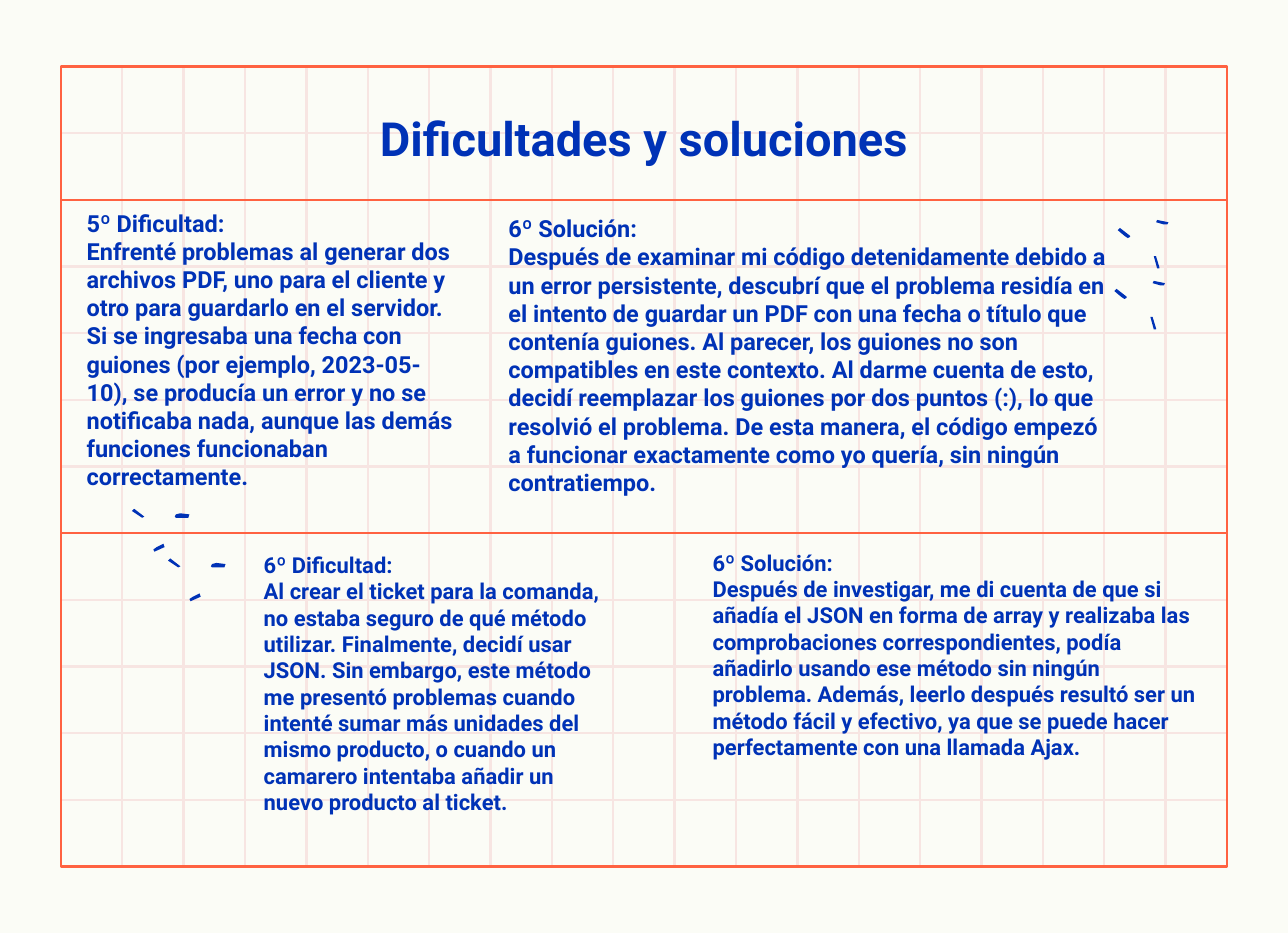
import pptx
import pptx.dml.color
import pptx.enum.shapes
import pptx.enum.text
import pptx.oxml.ns
import pptx.util
from lxml import etree
from pptx.util import Inches

COLORS = {"paper": "FBFCF6", "grid": "F7E5E2", "frame": "FF6241", "ink": "0032B6"}
FONT = "Roboto"

# Grid frame: left, top, width, height, and its division
LEFT, TOP, WIDTH, HEIGHT = 0.54, 0.59, 10.34, 7.09
COLUMNS, ROWS = 19, 12
DIVIDER_ROWS = (2, 7)

# Ink dashes: outlines of one cluster, and the offsets of its two positions
RIGHT_DASHES = (
    [(10.26, 1.95), (10.25, 1.97), (10.32, 1.99), (10.35, 1.99), (10.36, 1.97)],
    [(9.91, 2.04), (9.97, 2.09), (10, 2.11), (10.02, 2.1), (10.02, 2.09), (9.93, 2.02)],
    [(10.23, 2.27), (10.26, 2.38), (10.28, 2.38), (10.28, 2.37), (10.25, 2.27)],
)
LEFT_DASHES = (
    [(1.78, 5.29), (1.77, 5.26), (1.71, 5.29), (1.68, 5.31), (1.69, 5.33)],
    [(2, 5), (1.92, 4.99), (1.88, 5), (1.87, 5.02), (1.88, 5.03), (1.99, 5.03)],
    [(1.6, 5.02), (1.51, 4.95), (1.49, 4.97), (1.58, 5.03)],
)
DASH_CLUSTERS = (
    (RIGHT_DASHES, [(0, 0), (-0.03, 0.54)]),
    (LEFT_DASHES, [(0, 0), (-0.32, -0.44)]),
)

# Text blocks: left, top, width, height, size, heading, body
BLOCKS = (
    (4.41, 1.85, 5.5, 2.88, 15, "6º Solución:",
     "Después de examinar mi código detenidamente debido a un error persistente, "
     "descubrí que el problema residía en el intento de guardar un PDF con una fecha "
     "o título que contenía guiones. Al parecer, los guiones no son compatibles en "
     "este contexto. Al darme cuenta de esto, decidí reemplazar los guiones por dos "
     "puntos (:), lo que resolvió el problema. De esta manera, el código empezó a "
     "funcionar exactamente como yo quería, sin ningún contratiempo."),
    (6.22, 4.82, 4.5, 1.99, 14, "6º Solución:",
     "Después de investigar, me di cuenta de que si añadía el JSON en forma de array "
     "y realizaba las comprobaciones correspondientes, podía añadirlo usando ese "
     "método sin ningún problema. Además, leerlo después resultó ser un método fácil "
     "y efectivo, ya que se puede hacer perfectamente con una llamada Ajax."),
    (2.24, 4.84, 3.34, 2.46, 14, "6º Dificultad:",
     "Al crear el ticket para la comanda, no estaba seguro de qué método utilizar. "
     "Finalmente, decidí usar JSON. Sin embargo, este método me presentó problemas "
     "cuando intenté sumar más unidades del mismo producto, o cuando un camarero "
     "intentaba añadir un nuevo producto al ticket."),
    (0.67, 1.8, 3.48, 2.63, 15, "5º Dificultad:",
     "Enfrenté problemas al generar dos archivos PDF, uno para el cliente y otro para "
     "guardarlo en el servidor. Si se ingresaba una fecha con guiones (por ejemplo, "
     "2023-05-10), se producía un error y no se notificaba nada, aunque las demás "
     "funciones funcionaban correctamente."),
)


def color(name):
    return pptx.dml.color.RGBColor.from_string(COLORS[name])


def write(para, text, size=14, ink="ink", bold=True, align=None):
    span = para.add_run()
    span.text = text
    span.font.name = FONT
    span.font.size = pptx.util.Pt(size)
    span.font.bold = bold
    span.font.color.rgb = color(ink)
    para.alignment = align


class Sheet:
    """Holds the current slide and draws styled elements on it."""

    def __init__(self, page, line_width=1.5):
        self.page = page
        self.line_width = pptx.util.Pt(line_width)
        page.background.fill.solid()
        page.background.fill.fore_color.rgb = color("paper")

    def line(self, x1, y1, x2, y2, ink):
        connector = self.page.shapes.add_connector(
            pptx.enum.shapes.MSO_CONNECTOR.STRAIGHT,
            Inches(x1), Inches(y1), Inches(x2), Inches(y2))
        connector.line.color.rgb = color(ink)
        connector.line.width = self.line_width
        etree.SubElement(connector._element.spPr, pptx.oxml.ns.qn("a:effectLst"))

    def frame(self, left, top, width, height):
        box = self.page.shapes.add_shape(
            pptx.enum.shapes.MSO_SHAPE.RECTANGLE,
            Inches(left), Inches(top), Inches(width), Inches(height))
        box.shadow.inherit = False
        box.fill.background()
        box.line.color.rgb = color("frame")
        box.line.width = self.line_width

    def dash(self, outline, dx, dy):
        points = [(Inches(x + dx), Inches(y + dy)) for x, y in outline]
        builder = self.page.shapes.build_freeform(*points[0])
        builder.add_line_segments(points[1:], close=True)
        mark = builder.convert_to_shape()
        mark.shadow.inherit = False
        mark.fill.solid()
        mark.fill.fore_color.rgb = color("ink")
        mark.line.fill.background()

    def title(self, text, left, top, width, height, inset=0.13):
        box = self.page.shapes.title
        box.left, box.top = Inches(left), Inches(top)
        box.width, box.height = Inches(width), Inches(height)
        frame = box.text_frame
        frame.word_wrap = True
        frame.auto_size = pptx.enum.text.MSO_AUTO_SIZE.NONE
        frame.vertical_anchor = pptx.enum.text.MSO_ANCHOR.TOP
        frame.margin_left = frame.margin_right = Inches(inset)
        frame.margin_top = frame.margin_bottom = Inches(inset)
        write(frame.paragraphs[0], text, size=30, align=pptx.enum.text.PP_ALIGN.CENTER)
        # Bring the title in front of the grid
        box._element.getparent().append(box._element)

    def block(self, left, top, width, height, size, heading, body):
        box = self.page.shapes.add_textbox(
            Inches(left), Inches(top), Inches(width), Inches(height))
        frame = box.text_frame
        frame.word_wrap = True
        frame.auto_size = pptx.enum.text.MSO_AUTO_SIZE.SHAPE_TO_FIT_TEXT
        write(frame.paragraphs[0], heading, size=size)
        write(frame.add_paragraph(), body, size=size)


def main():
    deck = pptx.Presentation()
    deck.slide_width, deck.slide_height = Inches(11.42), Inches(8.27)
    sheet = Sheet(deck.slides.add_slide(deck.slide_layouts[5]))

    # Pale grid, then the red dividers and frame
    right, bottom = LEFT + WIDTH, TOP + HEIGHT
    for column in range(1, COLUMNS):
        x = LEFT + column * WIDTH / COLUMNS
        sheet.line(x, TOP, x, bottom, "grid")
    pale_rows = [row for row in range(1, ROWS) if row not in DIVIDER_ROWS]
    for rows, ink in ((pale_rows, "grid"), (DIVIDER_ROWS, "frame")):
        for row in rows:
            y = TOP + row * HEIGHT / ROWS
            sheet.line(LEFT, y, right, y, ink)
    sheet.frame(LEFT, TOP, WIDTH, HEIGHT)

    # Title
    sheet.title("Dificultades y soluciones", 0.57, 0.84, 10.28, 0.67)

    # Ink dashes
    for outlines, offsets in DASH_CLUSTERS:
        for dx, dy in offsets:
            for outline in outlines:
                sheet.dash(outline, dx, dy)

    # Difficulties and solutions
    for block in BLOCKS:
        sheet.block(*block)

    deck.save("out.pptx")


if __name__ == "__main__":
    main()
